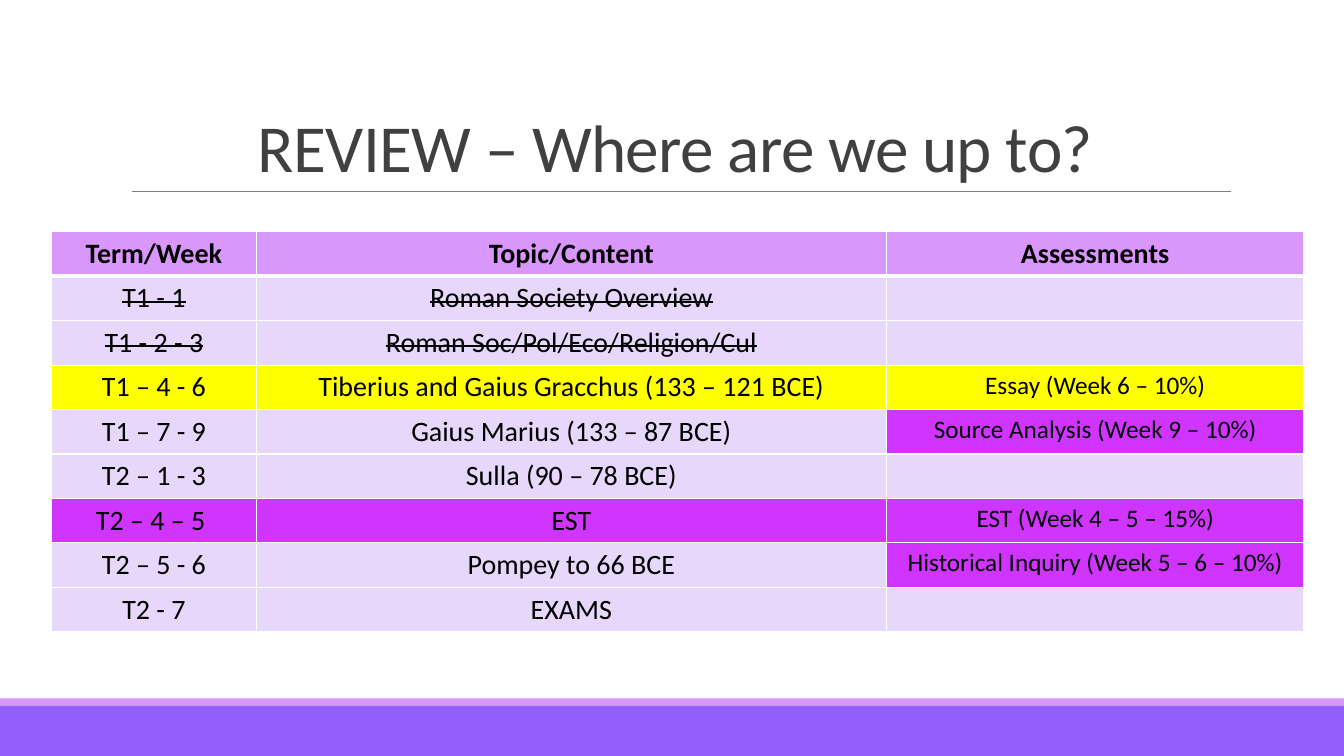
import pptx
import pptx.dml.color
import pptx.enum.shapes
import pptx.enum.text
import pptx.oxml
import pptx.oxml.ns
import pptx.util
from pptx.util import Cm

FONT = "Calibri"
LILAC, PALE, PURPLE, YELLOW = "DA97FB", "E7D7FA", "D035FF", "FFFF00"
COLUMN_WIDTHS = (5.16, 15.88, 10.52)
ROW_HEIGHT = 1.12
HEADINGS = ("Term/Week", "Topic/Content", "Assessments")
# Term and week, topic, assessment, row fill, assessment fill, finished
SCHEDULE = (
    ("T1 - 1", "Roman Society Overview", "", PALE, PALE, True),
    ("T1 - 2 - 3", "Roman Soc/Pol/Eco/Religion/Cul", "", PALE, PALE, True),
    ("T1 – 4 - 6", "Tiberius and Gaius Gracchus (133 – 121 BCE)",
     "Essay (Week 6 – 10%)", YELLOW, YELLOW, False),
    ("T1 – 7 - 9", "Gaius Marius (133 – 87 BCE)",
     "Source Analysis (Week 9 – 10%)", PALE, PURPLE, False),
    ("T2 – 1 - 3", "Sulla (90 – 78 BCE)", "", PALE, PALE, False),
    ("T2 – 4 – 5 ", "EST", "EST (Week 4 – 5 – 15%)", PURPLE, PURPLE, False),
    ("T2 – 5 - 6", "Pompey to 66 BCE",
     "Historical Inquiry (Week 5 – 6 – 10%)", PALE, PURPLE, False),
    ("T2 - 7", "EXAMS", "", PALE, PALE, False),
)


def colour(hex_code):
    return pptx.dml.color.RGBColor.from_string(hex_code)


def write(frame, text, size=20, hex_code="000000", bold=False, strike=False,
          tracking=None, line_spacing=None):
    """Put one centred, formatted paragraph into a text frame."""
    para = frame.paragraphs[0]
    para.alignment = pptx.enum.text.PP_ALIGN.CENTER
    if line_spacing:
        para.line_spacing = line_spacing
    if not text:
        return
    span = para.add_run()
    span.text = text
    span.font.name = FONT
    span.font.size = pptx.util.Pt(size)
    span.font.bold = bold
    span.font.color.rgb = colour(hex_code)
    properties = span.font._element
    if strike:
        properties.set("strike", "sngStrike")
    if tracking:
        properties.set("spc", str(round(tracking * 100)))


def add_footer_bands(slide, left, top, width, height):
    """Thin lilac strip above a violet band."""
    strip = 0.18
    for offset, depth, fill in ((0, strip, LILAC), (strip, height - strip, "925FFD")):
        band = slide.shapes.add_shape(
            pptx.enum.shapes.MSO_SHAPE.RECTANGLE,
            Cm(left), Cm(top + offset), Cm(width), Cm(depth))
        band.shadow.inherit = False
        band.fill.solid()
        band.fill.fore_color.rgb = colour(fill)
        band.line.fill.background()


def add_title(slide, left, top, width, height):
    """Title resting on a thin rule."""
    rule = slide.shapes.add_connector(
        pptx.enum.shapes.MSO_CONNECTOR.STRAIGHT, Cm(left + 0.28), Cm(top + height),
        Cm(left + width + 0.03), Cm(top + height))
    rule.line.color.rgb = colour("808080")
    rule.line.width = pptx.util.Pt(0.5)
    rule._element.spPr.append(pptx.oxml.parse_xml(
        f'<a:effectLst {pptx.oxml.ns.nsdecls("a")}/>'))

    title = slide.shapes.title
    title.left, title.top = Cm(left), Cm(top)
    title.width, title.height = Cm(width), Cm(height)
    frame = title.text_frame
    frame.word_wrap = True
    frame.auto_size = pptx.enum.text.MSO_AUTO_SIZE.NONE
    frame.vertical_anchor = pptx.enum.text.MSO_ANCHOR.BOTTOM
    write(frame, "REVIEW – Where are we up to?", size=48, hex_code="404040",
          tracking=-0.5, line_spacing=0.85)


def format_cell(cell, fill, top_border=1, bottom_border=1):
    """White borders around a plain fill."""
    properties = cell._tc.get_or_add_tcPr()
    widths = {"lnL": 1, "lnR": 1, "lnT": top_border, "lnB": bottom_border}
    for side, points in widths.items():
        properties.append(pptx.oxml.parse_xml(
            f'<a:{side} {pptx.oxml.ns.nsdecls("a")} w="{pptx.util.Pt(points)}">'
            f'<a:solidFill><a:srgbClr val="FFFFFF"/></a:solidFill></a:{side}>'))
    cell.fill.solid()
    cell.fill.fore_color.rgb = colour(fill)


def add_schedule(slide, left, top):
    row_count = len(SCHEDULE) + 1
    table = slide.shapes.add_table(
        row_count, len(HEADINGS), Cm(left), Cm(top),
        Cm(sum(COLUMN_WIDTHS)), Cm(ROW_HEIGHT * row_count)).table
    for column, width in zip(table.columns, COLUMN_WIDTHS):
        column.width = Cm(width)
    for row in table.rows:
        row.height = Cm(ROW_HEIGHT)

    # Header row
    for cell, heading in zip(table.rows[0].cells, HEADINGS):
        write(cell.text_frame, heading, bold=True)
        format_cell(cell, LILAC, bottom_border=3)

    # Schedule rows
    for index, (week, topic, assessment, fill, last_fill, done) in enumerate(SCHEDULE, 1):
        entries = ((week, 20, fill), (topic, 20, fill), (assessment, 18, last_fill))
        for cell, (text, size, cell_fill) in zip(table.rows[index].cells, entries):
            write(cell.text_frame, text, size=size, strike=done)
            format_cell(cell, cell_fill, top_border=3 if index == 1 else 1)


def main():
    deck = pptx.Presentation()
    deck.slide_width, deck.slide_height = Cm(33.87), Cm(19.05)
    page = deck.slides.add_slide(deck.slide_layouts[5])
    add_footer_bands(page, 0, 17.6, 33.87, 1.45)
    add_title(page, 3.05, 0.79, 27.94, 4.04)
    add_schedule(page, 1.3, 5.84)
    deck.save("out.pptx")


if __name__ == "__main__":
    main()
